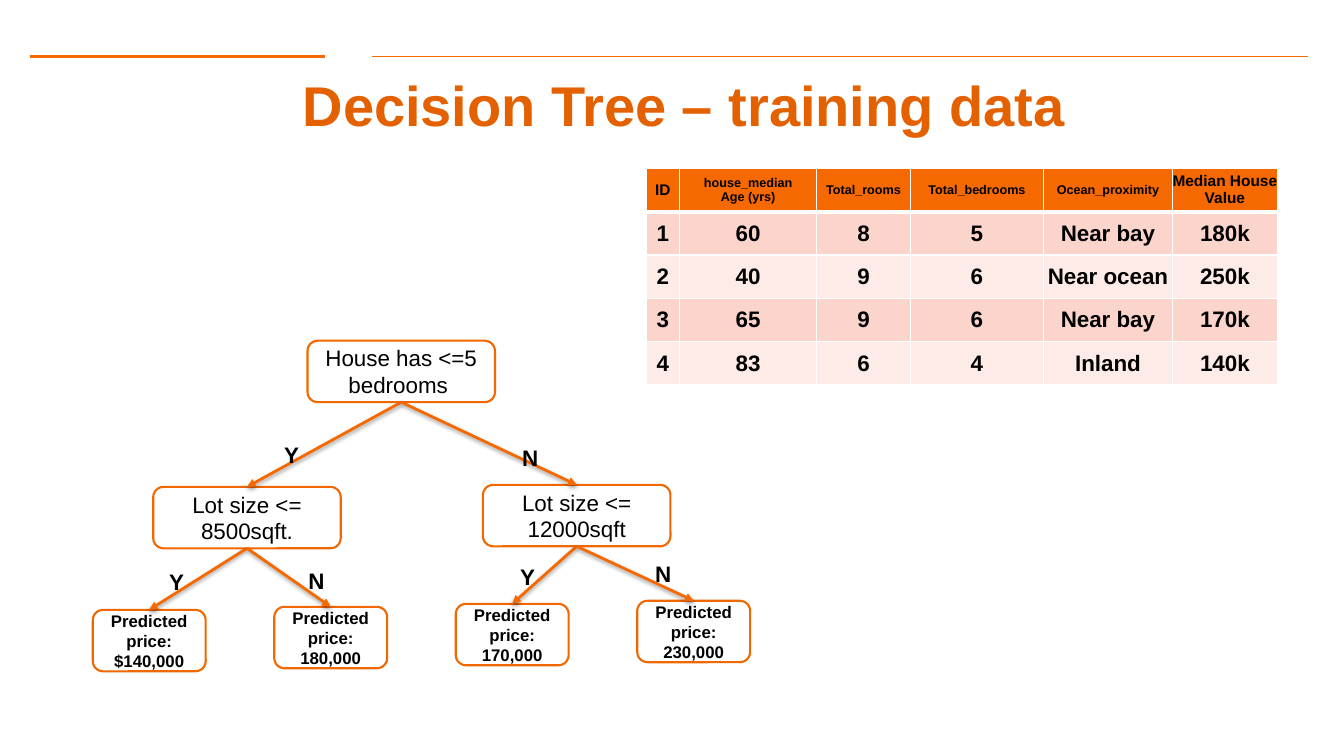
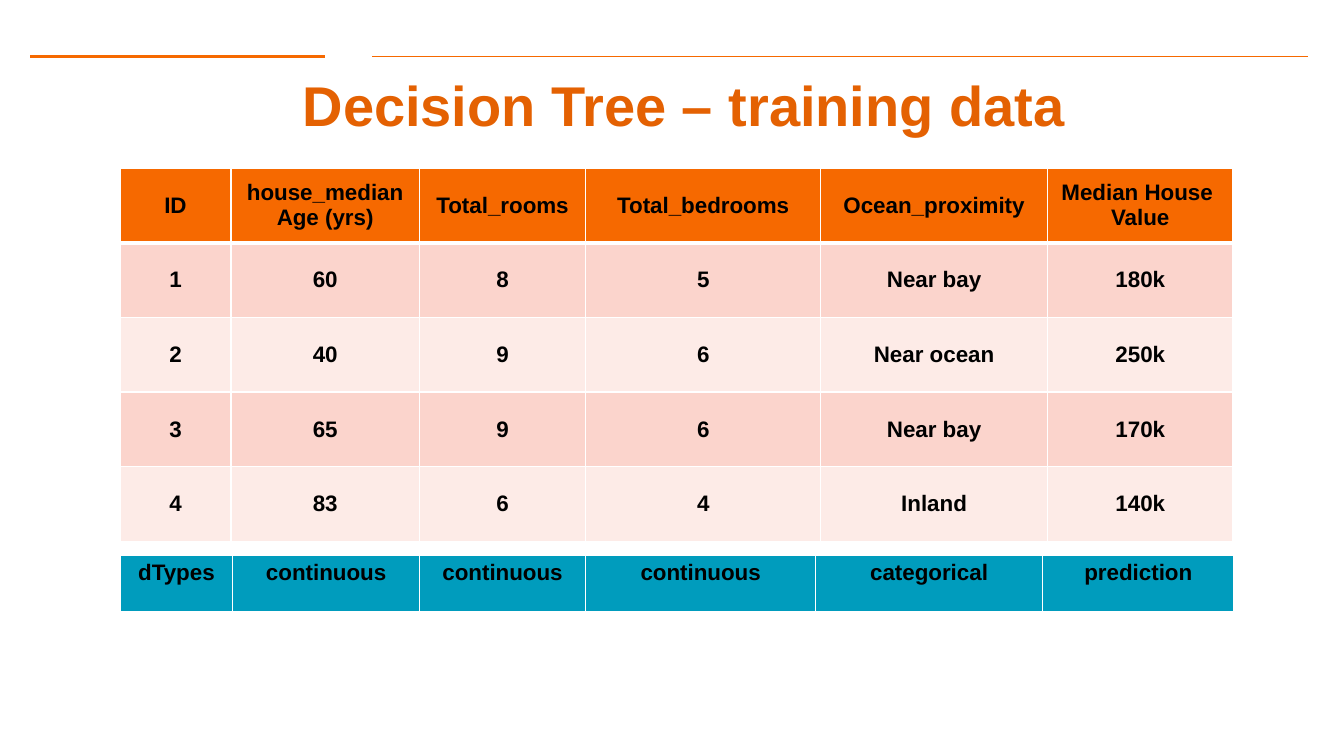
import pptx
import pptx.util
import pptx.dml.color
import pptx.enum.shapes
import pptx.enum.text
import pptx.oxml
import pptx.oxml.ns

Inches = pptx.util.Inches
Pt = pptx.util.Pt
RGBColor = pptx.dml.color.RGBColor
MSO_SHAPE = pptx.enum.shapes.MSO_SHAPE
MSO_ANCHOR = pptx.enum.text.MSO_ANCHOR
PP_ALIGN = pptx.enum.text.PP_ALIGN

ORANGE = RGBColor(0xF6, 0x69, 0x00)
NODE_LINE = RGBColor(0xF1, 0x67, 0x00)
TITLE = RGBColor(0xE4, 0x61, 0x02)
BAND_DARK = RGBColor(0xFB, 0xD4, 0xCC)
BAND_LIGHT = RGBColor(0xFD, 0xEB, 0xE7)
TEAL = RGBColor(0x00, 0x9C, 0xBD)
WHITE = RGBColor(0xFF, 0xFF, 0xFF)
BLACK = RGBColor(0, 0, 0)

FONT = "Arial"
NS = pptx.oxml.ns.nsdecls("a")
TOP_SITE, BOTTOM_SITE = 0, 2


class Deck:
    """Hold the shared style and the current slide, and draw each kind of element."""

    def __init__(self):
        self.prs = pptx.Presentation()
        self.prs.slide_width = Inches(13.33)
        self.prs.slide_height = Inches(7.5)

    def slide(self, title):
        """Start a blank slide with the two top rules and the title."""
        self.s = self.prs.slides.add_slide(self.prs.slide_layouts[6])
        self.rule(0.3, 3.22, 2)
        self.rule(3.69, 12.97, 1)
        tb = self.s.shapes.add_textbox(Inches(0.78), Inches(0.76), Inches(12), Inches(0.55))
        tf = tb.text_frame
        tf.word_wrap = True
        tf.vertical_anchor = MSO_ANCHOR.MIDDLE
        self.set_text(tf, title, 40, True, TITLE)

    def set_text(self, tf, text, size, bold=True, color=BLACK, align=PP_ALIGN.CENTER):
        """Fill a text frame with evenly styled paragraphs."""
        tf.text = text
        for p in tf.paragraphs:
            p.alignment = align
            p.font.name = FONT
            p.font.size = Pt(size)
            p.font.bold = bold
            p.font.color.rgb = color

    def line(self, x1, y1, x2, y2, width, effect=""):
        """Draw an orange line whose only effect is the given one."""
        c = self.s.shapes.add_connector(
            pptx.enum.shapes.MSO_CONNECTOR.STRAIGHT,
            Inches(x1), Inches(y1), Inches(x2), Inches(y2))
        c.line.color.rgb = ORANGE
        c.line.width = Pt(width)
        xml = f"<a:effectLst {NS}>{effect}</a:effectLst>"
        c._element.spPr.append(pptx.oxml.parse_xml(xml))
        return c

    def rule(self, x1, x2, width):
        """Draw a horizontal rule above the title."""
        self.line(x1, 0.56, x2, 0.56, width)

    def arrow(self, parent, child):
        """Join the bottom of one node to the top of another."""
        shadow = (f'<a:outerShdw blurRad="{Pt(3.1)}" dist="{Pt(1.6)}" dir="5400000" rotWithShape="0">'
                  '<a:srgbClr val="000000"><a:alpha val="38000"/></a:srgbClr></a:outerShdw>')
        c = self.line(0, 0, 1, 1, 2, shadow)
        c.begin_connect(parent, BOTTOM_SITE)
        c.end_connect(child, TOP_SITE)
        ln = c._element.spPr.find(pptx.oxml.ns.qn("a:ln"))
        ln.append(pptx.oxml.parse_xml(f'<a:tailEnd {NS} type="triangle"/>'))

    def node(self, x, y, width, text, size, bold):
        """Draw a rounded tree node."""
        sp = self.s.shapes.add_shape(
            MSO_SHAPE.ROUNDED_RECTANGLE, Inches(x), Inches(y), Inches(width), Inches(0.61))
        sp.shadow.inherit = False
        sp.fill.background()
        sp.line.color.rgb = NODE_LINE
        sp.line.width = Pt(1.5)
        tf = sp.text_frame
        tf.word_wrap = True
        tf.vertical_anchor = MSO_ANCHOR.MIDDLE
        self.set_text(tf, text, size, bold)
        return sp

    def label(self, x, y, text):
        """Place a branch label."""
        tb = self.s.shapes.add_textbox(Inches(x), Inches(y), Inches(0.32), Inches(0.31))
        tb.text_frame.word_wrap = False
        self.set_text(tb.text_frame, text, 16, align=PP_ALIGN.LEFT)

    def table(self, x, y, widths, row_height, rows, fills, header_sizes,
              anchor=MSO_ANCHOR.MIDDLE, inset=None):
        """Draw a table with white borders, thickest under its first row."""
        frame = self.s.shapes.add_table(
            len(rows), len(widths), Inches(x), Inches(y),
            Inches(sum(widths)), Inches(row_height * len(rows)))
        t = frame.table
        t.first_row = t.horz_banding = False
        for column, width in zip(t.columns, widths):
            column.width = Inches(width)
        for i, row in enumerate(rows):
            t.rows[i].height = Inches(row_height)
            for j, text in enumerate(row):
                cell = t.cell(i, j)
                self.borders(cell, 3 if i == 1 else 1, 3 if i == 0 else 1)
                cell.fill.solid()
                cell.fill.fore_color.rgb = fills[i]
                cell.vertical_anchor = anchor
                if inset is not None:
                    cell.margin_left = cell.margin_right = Inches(inset)
                    cell.margin_top = cell.margin_bottom = Inches(inset)
                self.set_text(cell.text_frame, text, header_sizes[j] if i == 0 else 16)

    def borders(self, cell, top, bottom):
        """Give a cell white borders."""
        tcPr = cell._tc.get_or_add_tcPr()
        for side, width in (("L", 1), ("R", 1), ("T", top), ("B", bottom)):
            tcPr.append(pptx.oxml.parse_xml(
                f'<a:ln{side} {NS} w="{Pt(width)}"><a:solidFill>'
                f'<a:srgbClr val="{WHITE}"/></a:solidFill></a:ln{side}>'))


HEADING = "Decision Tree – training data"
HOUSES = [
    ["ID", "house_median\nAge (yrs)", "Total_rooms", "Total_bedrooms",
     "Ocean_proximity", "Median House \nValue"],
    ["1", "60", "8", "5", "Near bay", "180k"],
    ["2", "40", "9", "6", "Near ocean", "250k"],
    ["3", "65", "9", "6", "Near bay", "170k"],
    ["4", "83", "6", "4", "Inland", "140k"],
]
HOUSE_FILLS = [ORANGE] + [BAND_DARK, BAND_LIGHT] * 2
DTYPES = [["dTypes", "continuous", "continuous", "continuous", "categorical", "prediction"]]

deck = Deck()

deck.slide(HEADING)
deck.table(6.41, 1.67, [0.33, 1.36, 0.93, 1.32, 1.28, 1.04], 0.43, HOUSES, HOUSE_FILLS,
           [11, 9, 9, 9, 9, 11], inset=0)
root = deck.node(3.05, 3.38, 1.86, "House has <=5 bedrooms ", 16, False)
small_lot = deck.node(1.52, 4.83, 1.86, "Lot size <= 8500sqft.", 16, False)
large_lot = deck.node(4.79, 4.81, 1.86, "Lot size <= 12000sqft", 16, False)
leaves = [deck.node(0.92 + 1.8 * i, 6.05 - 0.03 * i, 1.12, f"Predicted price: {price}", 12, True)
          for i, price in enumerate(["$140,000", "180,000", "170,000", "230,000"])]
for parent, children in ((root, (small_lot, large_lot)),
                         (small_lot, leaves[:2]), (large_lot, leaves[2:])):
    for child in children:
        deck.arrow(parent, child)
for text, places in (("Y", [(2.72, 4.33), (1.58, 5.59), (5.06, 5.54)]),
                     ("N", [(5.08, 4.36), (2.96, 5.58), (6.4, 5.51)])):
    for x, y in places:
        deck.label(x, y, text)

deck.slide(HEADING)
deck.table(1.19, 1.67, [1.1, 1.87, 1.65, 2.33, 2.25, 1.84], 0.74, HOUSES, HOUSE_FILLS, [16] * 6)
deck.table(1.19, 5.51, [1.12, 1.85, 1.65, 2.28, 2.25, 1.9], 0.57, DTYPES, [TEAL], [16] * 6,
           anchor=MSO_ANCHOR.TOP)

deck.prs.save("out.pptx")
